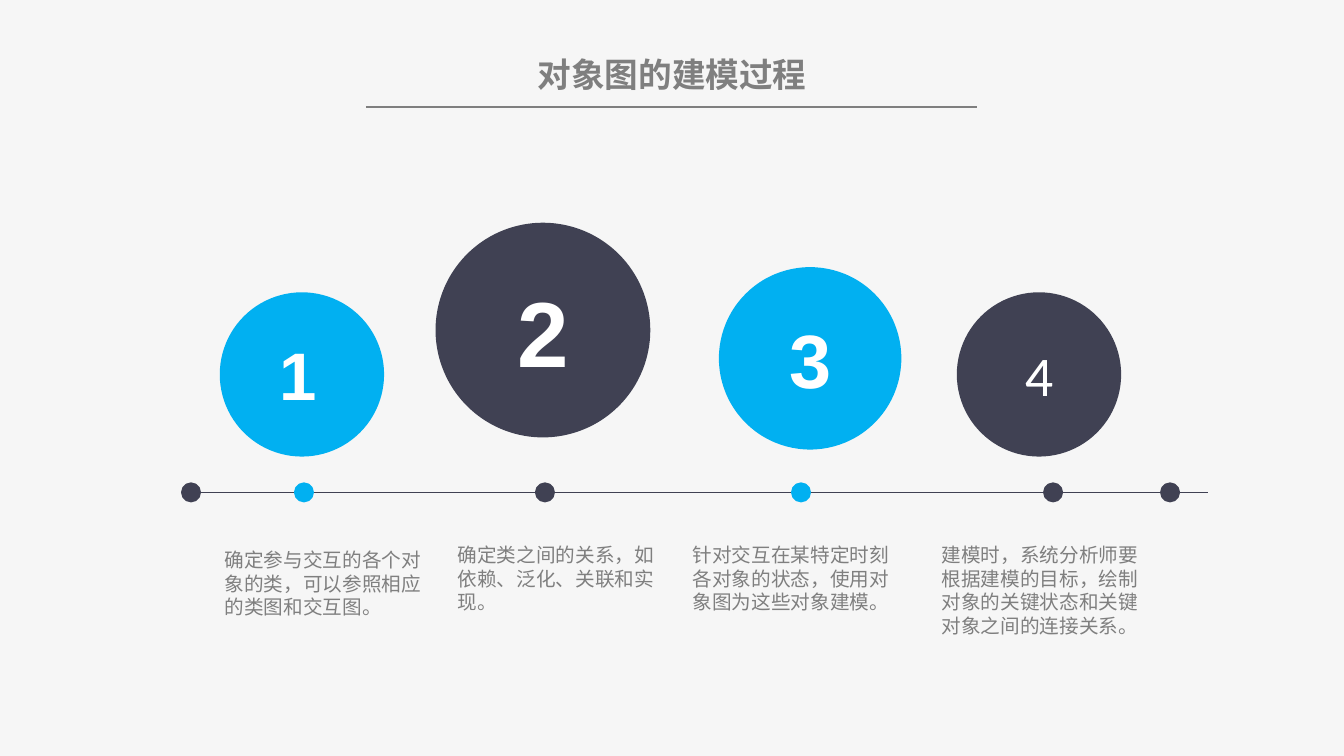
import dataclasses

import pptx
import pptx.dml.color
import pptx.enum.shapes
import pptx.enum.text
import pptx.oxml.ns
import pptx.util
import lxml.etree

SHAPE = pptx.enum.shapes.MSO_SHAPE
ANCHOR = pptx.enum.text.MSO_ANCHOR
ALIGN = pptx.enum.text.PP_ALIGN
CELL = pptx.util.Inches(0.1)  # square grid: 133.3 columns by 75 rows


@dataclasses.dataclass(frozen=True)
class Theme:
    paper: str = "F6F6F6"
    grey: str = "7F7F7F"
    dark: str = "404153"
    blue: str = "01B0F1"
    white: str = "FFFFFF"
    title_size: int = 24
    caption_size: int = 14


@dataclasses.dataclass(frozen=True)
class Box:
    left: float
    top: float
    width: float
    height: float

    def inside(self, right, down, width, height):
        return Box(self.left + right, self.top + down, width, height)

    def lengths(self):
        cells = (self.left, self.top, self.width, self.height)
        return [round(count * CELL) for count in cells]


THEME = Theme()

# Circle: offset right, offset down, diameter, colour, numeral format
CIRCLES = [
    (0, 6.9, 16.3, THEME.blue, {"name": "Arial", "size": 48, "bold": True}),
    (21.4, 0, 21.3, THEME.dark, {"name": "Arial", "size": 66, "bold": True}),
    (49.5, 4.4, 18.1, THEME.blue, {"name": "Arial", "size": 54, "bold": True}),
    (73.1, 6.9, 16.3, THEME.dark, {"name": "Calibri", "size": 40, "bold": False}),
]

# Dot: offset right, colour
DOTS = [
    (0, THEME.dark), (11.2, THEME.blue), (35.1, THEME.dark),
    (60.5, THEME.blue), (85.5, THEME.dark), (97.1, THEME.dark),
]

# Caption: offset right, offset down, wording
CAPTIONS = [
    (0, 0.5, "确定参与交互的各个对象的类，可以参照相应的类图和交互图。"),
    (23.1, 0, "确定类之间的关系，如依赖、泛化、关联和实现。"),
    (46.4, 0, "针对交互在某特定时刻各对象的状态，使用对象图为这些对象建模。"),
    (71.1, 0, "建模时，系统分析师要根据建模的目标，绘制对象的关键状态和关键对象之间的连接关系。"),
]


def rgb(colour):
    return pptx.dml.color.RGBColor.from_string(colour)


def write(shape, text, colour, font, frame, align=ALIGN.LEFT):
    for name, value in frame.items():
        setattr(shape.text_frame, name, value)
    para = shape.text_frame.paragraphs[0]
    para.alignment = align
    span = para.add_run()
    span.text = text
    span.font.color.rgb = rgb(colour)
    for name, value in font.items():
        setattr(span.font, name, pptx.util.Pt(value) if name == "size" else value)


def add_text(page, box, text, colour, font, wrap=True):
    label = page.shapes.add_textbox(*box.lengths())
    write(label, text, colour, font, {"word_wrap": wrap})


def add_rule(page, box, colour, weight):
    left, top, width, height = box.lengths()
    rule = page.shapes.add_connector(
        pptx.enum.shapes.MSO_CONNECTOR.STRAIGHT, left, top, left + width, top + height)
    rule.line.color.rgb = rgb(colour)
    rule.line.width = pptx.util.Pt(weight)
    lxml.etree.SubElement(rule._element.spPr, pptx.oxml.ns.qn("a:effectLst"))


def add_disc(page, box, colour, outline=0):
    disc = page.shapes.add_shape(SHAPE.OVAL, *box.lengths())
    disc.shadow.inherit = False
    disc.fill.solid()
    disc.fill.fore_color.rgb = rgb(colour)
    if outline:
        disc.line.color.rgb = rgb(colour)
        disc.line.width = pptx.util.Pt(outline)
    else:
        disc.line.fill.background()
    return disc


def draw_heading(page, box):
    # Title with a rule below it
    add_rule(page, box.inside(0, box.height, box.width, 0), THEME.grey, 1)
    title = page.shapes.title
    place = box.inside(2.6, 0, 55.5, 4).lengths()
    for name, value in zip(("left", "top", "width", "height"), place):
        setattr(title, name, value)
    frame = {"margin_left": 0, "margin_top": 0, "margin_right": 0,
             "margin_bottom": 0, "vertical_anchor": ANCHOR.TOP}
    font = {"name": "Arial", "size": THEME.title_size, "bold": True}
    write(title, "对象图的建模过程", THEME.grey, font, frame, ALIGN.CENTER)


def draw_circles(page, box):
    # Numbered circles; the first numeral stands slightly left of centre
    for number, (right, down, size, colour, font) in enumerate(CIRCLES, start=1):
        place = box.inside(right, down, size, size)
        disc = add_disc(page, place, colour)
        if number == 1:
            numeral = place.inside(4.9, 3.6, 5.7, 9)
            add_text(page, numeral, str(number), THEME.white, font, wrap=False)
        else:
            write(disc, str(number), THEME.white, font,
                  {"vertical_anchor": ANCHOR.MIDDLE}, ALIGN.CENTER)


def draw_timeline(page, box):
    # Axis first, dots on top of it
    add_rule(page, box.inside(1.3, 0.9, box.width - 1.3, 0), THEME.dark, 0.75)
    for right, colour in DOTS:
        add_disc(page, box.inside(right, 0, box.height, box.height), colour, outline=2)


def draw_captions(page, box):
    # One caption per step
    font = {"name": "Arial", "size": THEME.caption_size}
    for right, down, text in CAPTIONS:
        place = box.inside(right, down, 21.8, box.height)
        add_text(page, place, text, THEME.grey, font)


def draw_process_page(deck):
    page = deck.slides.add_slide(deck.slide_layouts[5])
    page.background.fill.solid()
    page.background.fill.fore_color.rgb = rgb(THEME.paper)
    draw_heading(page, Box(36.3, 5.3, 60.6, 5.3))
    draw_circles(page, Box(21.8, 22.1, 89.4, 23.2))
    draw_timeline(page, Box(18.1, 48, 101.7, 1.7))
    draw_captions(page, Box(21.3, 53.4, 92.9, 10.4))


def main():
    deck = pptx.Presentation()
    deck.slide_width = pptx.util.Inches(13.33)
    deck.slide_height = pptx.util.Inches(7.5)
    draw_process_page(deck)
    deck.save("out.pptx")


if __name__ == "__main__":
    main()
